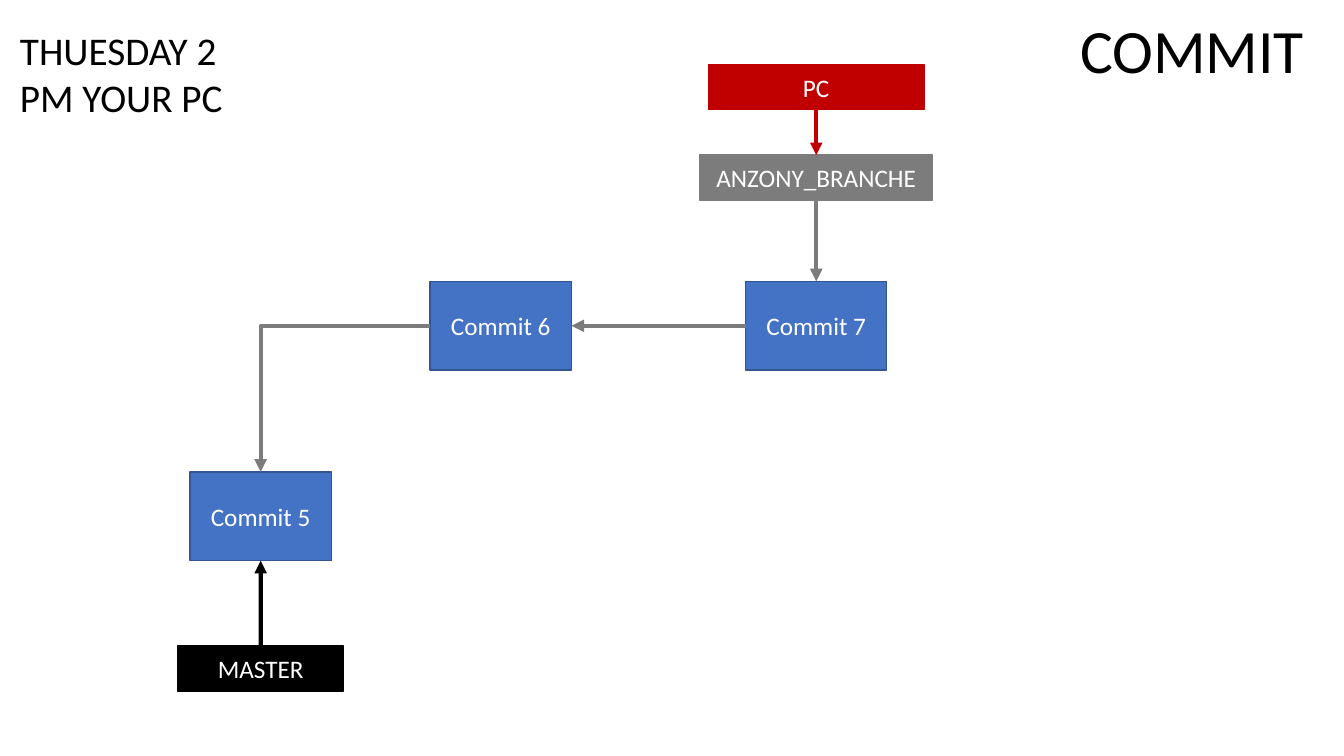
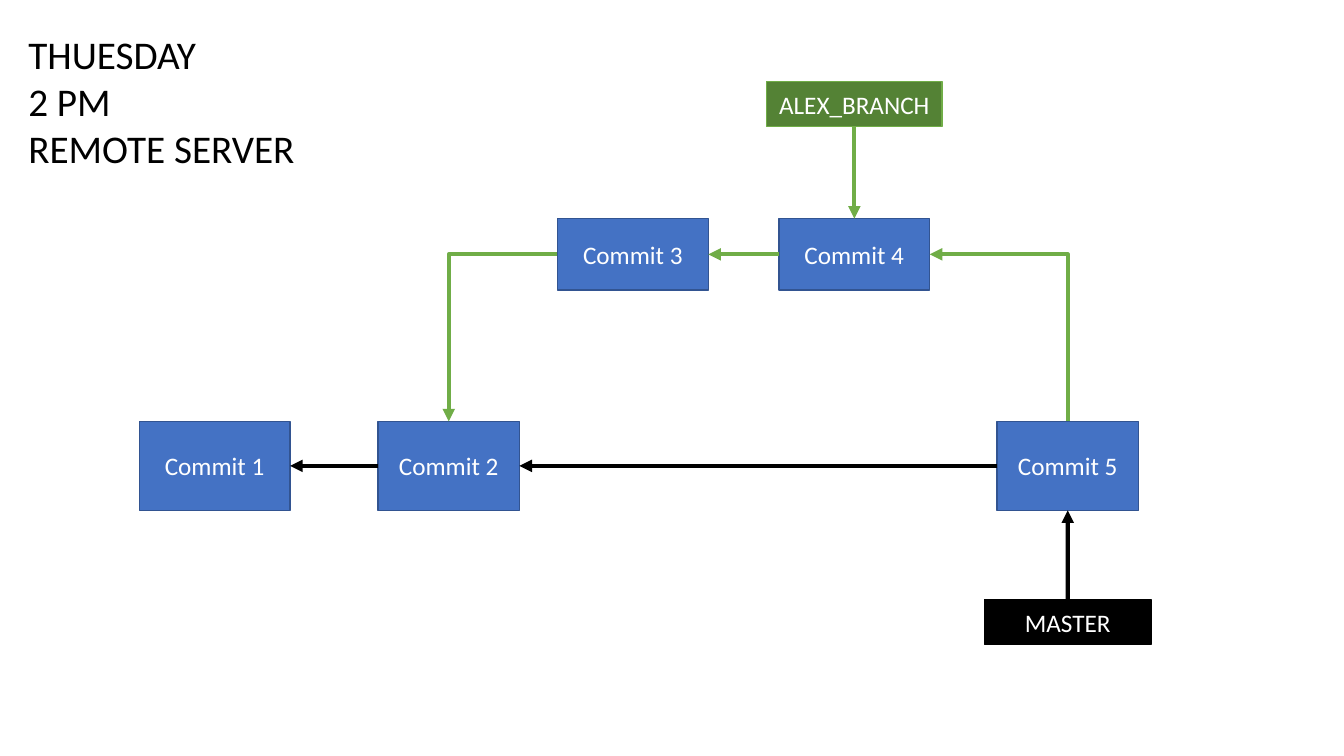
import dataclasses
import lxml.etree
import pptx
import pptx.dml.color
import pptx.enum.shapes
import pptx.enum.text
import pptx.oxml.ns
import pptx.util

Cm = pptx.util.Cm
Pt = pptx.util.Pt
qn = pptx.oxml.ns.qn

TOP, LEFT, BOTTOM, RIGHT = range(4)  # connection sites of a rectangle


@dataclasses.dataclass(frozen=True)
class Theme:
    font: str = "Calibri"
    title_size: int = 28
    topic_size: int = 44
    label_size: int = 18
    outline_width: int = 1
    link_width: int = 3
    black: str = "000000"
    white: str = "FFFFFF"
    commit: str = "4472C4"
    commit_edge: str = "325491"
    gray: str = "7C7C7C"
    red: str = "C00000"
    green: str = "70AD47"
    dark_green: str = "548235"


THEME = Theme()
COMMIT_SIZE = (3.56, 2.24)
WIDE_COMMIT_SIZE = (3.8, 2.24)
FLAT_COMMIT_SIZE = (3.8, 1.8)
LABEL_HEIGHT = 1.13
MASTER_WIDTH = 4.19


def rgb(color):
    return pptx.dml.color.RGBColor.from_string(color)


def write(frame, text, size, color, align):
    frame.text = text
    frame.word_wrap = True
    for paragraph in frame.paragraphs:
        paragraph.alignment = align
        for run in paragraph.runs:
            run.font.name = THEME.font
            run.font.size = Pt(size)
            run.font.color.rgb = rgb(color)


def write_heading(shape, box, text, size):
    """Left-aligned heading at the top of its box."""
    shape.left, shape.top, shape.width, shape.height = (Cm(v) for v in box)
    frame = shape.text_frame
    write(frame, text, size, THEME.black, pptx.enum.text.PP_ALIGN.LEFT)
    frame.vertical_anchor = pptx.enum.text.MSO_ANCHOR.TOP
    frame.auto_size = pptx.enum.text.MSO_AUTO_SIZE.SHAPE_TO_FIT_TEXT


class BranchDiagram:
    """Commits and branch labels, placed relative to one corner in cm."""

    def __init__(self, slide, left, top):
        self.shapes = slide.shapes
        self.left, self.top = left, top

    def node(self, text, center, top, size, fill, edge):
        width, height = size
        node = self.shapes.add_shape(
            pptx.enum.shapes.MSO_SHAPE.RECTANGLE,
            Cm(self.left + center - width / 2), Cm(self.top + top),
            Cm(width), Cm(height))
        node.shadow.inherit = False
        node.fill.solid()
        node.fill.fore_color.rgb = rgb(fill)
        node.line.color.rgb = rgb(edge)
        node.line.width = Pt(THEME.outline_width)
        frame = node.text_frame
        write(frame, text, THEME.label_size, THEME.white,
              pptx.enum.text.PP_ALIGN.CENTER)
        frame.vertical_anchor = pptx.enum.text.MSO_ANCHOR.MIDDLE
        frame.margin_left = frame.margin_right = 0
        return node

    def commit(self, number, center, top, size=COMMIT_SIZE):
        return self.node(f"Commit {number}", center, top, size,
                         THEME.commit, THEME.commit_edge)

    def label(self, text, center, top, width, fill, edge=None):
        return self.node(text, center, top, (width, LABEL_HEIGHT),
                         fill, edge or fill)

    def link(self, start, start_site, end, end_site, color,
             bent=False, arrow="tailEnd"):
        """Arrow between two nodes; a bent one runs sideways, then down."""
        kinds = pptx.enum.shapes.MSO_CONNECTOR
        link = self.shapes.add_connector(
            kinds.ELBOW if bent else kinds.STRAIGHT, 0, 0, 0, 0)
        link.begin_connect(start, start_site)
        link.end_connect(end, end_site)
        link.line.color.rgb = rgb(color)
        link.line.width = Pt(THEME.link_width)
        properties = link._element.spPr
        if bent:
            properties.find(qn("a:prstGeom")).set("prst", "bentConnector2")
        outline = properties.find(qn("a:ln"))
        lxml.etree.SubElement(outline, qn("a:" + arrow), type="triangle")
        lxml.etree.SubElement(properties, qn("a:effectLst"))

    def master(self, commit, center, top):
        master = self.label("MASTER", center, top, MASTER_WIDTH, THEME.black)
        self.link(master, TOP, commit, BOTTOM, THEME.black)


def add_titled_slide(deck, title, box):
    slide = deck.slides.add_slide(deck.slide_layouts[5])
    write_heading(slide.shapes.title, box, title, THEME.title_size)
    return slide


def build_pc_slide(deck):
    slide = add_titled_slide(deck, "THUESDAY 2 PM YOUR PC",
                             (0.25, 0.53, 6.3, 2.64))
    topic = slide.shapes.add_textbox(0, 0, 0, 0)
    write_heading(topic, (26.97, 0.18, 6.86, 2.13), "COMMIT", THEME.topic_size)

    diagram = BranchDiagram(slide, 4.47, 1.63)
    base, middle, tip = 2.1, 8.15, 16.1  # column centres
    upper_row = 5.46

    # Commits
    commit_5 = diagram.commit(5, base, 10.26)
    commit_6 = diagram.commit(6, middle, upper_row)
    commit_7 = diagram.commit(7, tip, upper_row)

    # Labels
    branch = diagram.label("ANZONY_BRANCHE", tip, 2.28, 5.87, THEME.gray)
    pc = diagram.label("PC", tip, 0, 5.44, THEME.red)
    diagram.master(commit_5, base, 14.65)

    # Arrows
    diagram.link(pc, BOTTOM, branch, TOP, THEME.red)
    diagram.link(branch, BOTTOM, commit_7, TOP, THEME.gray)
    diagram.link(commit_7, LEFT, commit_6, RIGHT, THEME.gray)
    diagram.link(commit_6, LEFT, commit_5, TOP, THEME.gray, bent=True)


def build_server_slide(deck):
    slide = add_titled_slide(deck, "THUESDAY\n2 PM\nREMOTE SERVER",
                             (0.46, 0.64, 8.79, 3.84))

    diagram = BranchDiagram(slide, 3.51, 2.06)
    first, second, third, tip, last = 1.9, 7.8, 12.44, 18.02, 23.4
    upper_row, lower_row = 3.45, 8.56

    # Commits
    commit_1 = diagram.commit(1, first, lower_row, WIDE_COMMIT_SIZE)
    commit_2 = diagram.commit(2, second, lower_row)
    commit_3 = diagram.commit(3, third, upper_row, FLAT_COMMIT_SIZE)
    commit_4 = diagram.commit(4, tip, upper_row, FLAT_COMMIT_SIZE)
    commit_5 = diagram.commit(5, last, lower_row)

    # Labels
    branch = diagram.label("ALEX_BRANCH", tip, 0, 4.42,
                           THEME.dark_green, THEME.green)
    diagram.master(commit_5, last, 13.05)

    # Arrows
    diagram.link(commit_2, LEFT, commit_1, RIGHT, THEME.black)
    diagram.link(commit_5, LEFT, commit_2, RIGHT, THEME.black)
    diagram.link(branch, BOTTOM, commit_4, TOP, THEME.green)
    diagram.link(commit_4, LEFT, commit_3, RIGHT, THEME.green)
    diagram.link(commit_3, LEFT, commit_2, TOP, THEME.green, bent=True)
    diagram.link(commit_4, RIGHT, commit_5, TOP, THEME.green,
                 bent=True, arrow="headEnd")


def main():
    deck = pptx.Presentation()
    deck.slide_width, deck.slide_height = Cm(33.87), Cm(19.05)
    build_pc_slide(deck)
    build_server_slide(deck)
    deck.save("out.pptx")


if __name__ == "__main__":
    main()
